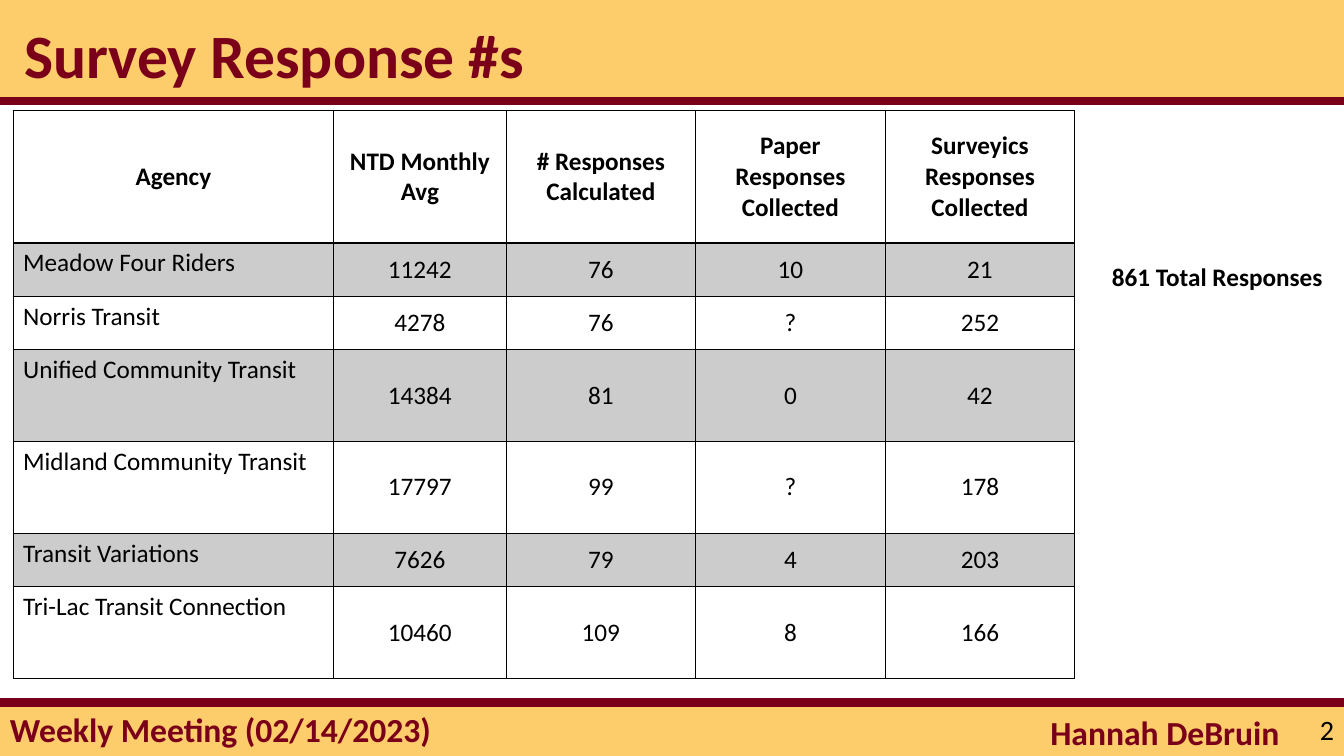
from pptx import Presentation
from pptx.dml.color import RGBColor
from pptx.enum.shapes import MSO_CONNECTOR, MSO_SHAPE
from pptx.enum.text import MSO_ANCHOR as ANCHOR, PP_ALIGN as ALIGN
from pptx.oxml.ns import qn
from pptx.util import Inches, Pt
from lxml.etree import SubElement

MAROON = RGBColor(0x7A, 0x00, 0x19)
GOLD = RGBColor(0xFD, 0xCC, 0x6B)
BLACK = RGBColor(0, 0, 0)
GREY = RGBColor(0xCC, 0xCC, 0xCC)
FONT = "Calibri"
WIDTH, HEIGHT = 13.33, 7.5
HEADER_BOTTOM, FOOTER_TOP = 1, 6.97

# Content
HEADINGS = ("Agency", "NTD Monthly Avg", "# Responses Calculated",
            "Paper Responses Collected", "Surveyics Responses Collected")
AGENCIES = (
    ("Meadow Four Riders", "11242", "76", "10", "21"),
    ("Norris Transit", "4278", "76", "?", "252"),
    ("Unified Community Transit", "14384", "81", "0", "42"),
    ("Midland Community Transit", "17797", "99", "?", "178"),
    ("Transit Variations", "7626", "79", "4", "203"),
    ("Tri-Lac Transit Connection", "10460", "109", "8", "166"),
)
COL_WIDTHS = (3.18, 1.71, 1.88, 1.88, 1.88)
ROW_HEIGHTS = (1.31, 0.53, 0.53, 0.91, 0.91, 0.53, 0.91)

# text, (left, top, width, height), size, colour, bold, align, anchor, spacing, wrap
TEXTS = (
    ("Survey Response #s", (0.14, 0.2, 11.52, 0.8), 44, MAROON, True,
     ALIGN.LEFT, ANCHOR.TOP, 0.9, True),
    ("Weekly Meeting (02/14/2023)", (0, 7.02, 6.67, 0.48), 24, MAROON, True,
     ALIGN.LEFT, ANCHOR.MIDDLE, 0.9, True),
    ("Hannah DeBruin", (8.33, 7.02, 4.46, 0.53), 24, MAROON, True,
     ALIGN.RIGHT, ANCHOR.MIDDLE, 0.9, True),
    ("2", (10.33, 6.97, 3, 0.53), 20, BLACK, False,
     ALIGN.RIGHT, ANCHOR.MIDDLE, 1.0, True),
    ("861 Total Responses", (10.93, 2.54, 2.31, 0.4), 18, BLACK, True,
     ALIGN.LEFT, ANCHOR.TOP, 1.0, False),
)


def style(p, size, color, bold, align):
    p.alignment = align
    p.font.name, p.font.size, p.font.bold = FONT, Pt(size), bold
    p.font.color.rgb = color


def add_band(top, height):
    s = slide.shapes.add_shape(MSO_SHAPE.RECTANGLE, 0, Inches(top),
                               Inches(WIDTH), Inches(height))
    s.shadow.inherit = False
    s.fill.solid()
    s.fill.fore_color.rgb = GOLD
    s.line.fill.background()


def add_rule(y):
    s = slide.shapes.add_connector(MSO_CONNECTOR.STRAIGHT, 0, Inches(y),
                                   Inches(WIDTH), Inches(y))
    s.line.color.rgb, s.line.width = MAROON, Pt(6)
    SubElement(s._element.spPr, qn("a:effectLst"))


def add_text(text, box, size, color, bold, align, anchor, spacing, wrap):
    tf = slide.shapes.add_textbox(*map(Inches, box)).text_frame
    tf.word_wrap, tf.vertical_anchor = wrap, anchor
    tf.text = text
    p = tf.paragraphs[0]
    p.line_spacing = spacing
    style(p, size, color, bold, align)


def add_borders(cell, **points):
    tcPr = cell._tc.get_or_add_tcPr()
    for side, width in points.items():
        ln = SubElement(tcPr, qn("a:ln" + side), w=str(Pt(width)))
        fill = SubElement(ln, qn("a:solidFill"))
        SubElement(fill, qn("a:srgbClr"), val=str(BLACK))


prs = Presentation()
prs.slide_width, prs.slide_height = Inches(WIDTH), Inches(HEIGHT)
slide = prs.slides.add_slide(prs.slide_layouts[6])

# Header and footer
add_band(0, HEADER_BOTTOM)
add_band(FOOTER_TOP, HEIGHT - FOOTER_TOP)
for y in (FOOTER_TOP, HEADER_BOTTOM):
    add_rule(y)

# Response table
rows = (HEADINGS,) + AGENCIES
table = slide.shapes.add_table(
    len(rows), len(HEADINGS), Inches(0.13), Inches(1.1),
    Inches(sum(COL_WIDTHS)), Inches(sum(ROW_HEIGHTS))).table
table.horz_banding = False
for column, width in zip(table.columns, COL_WIDTHS):
    column.width = Inches(width)
for i, (row, height) in enumerate(zip(rows, ROW_HEIGHTS)):
    table.rows[i].height = Inches(height)
    for j, text in enumerate(row):
        cell = table.cell(i, j)
        heading, agency = i == 0, i > 0 and j == 0
        cell.text = text
        cell.vertical_anchor = ANCHOR.TOP if agency else ANCHOR.MIDDLE
        style(cell.text_frame.paragraphs[0], 18, BLACK, heading,
              ALIGN.LEFT if agency else ALIGN.CENTER)
        add_borders(cell, L=1, R=1, T=2 if i == 1 else 1, B=2 if heading else 1)
        if i % 2:
            cell.fill.solid()
            cell.fill.fore_color.rgb = GREY
        else:
            cell.fill.background()

# Title, footer texts and total
for item in TEXTS:
    add_text(*item)

prs.save("out.pptx")
